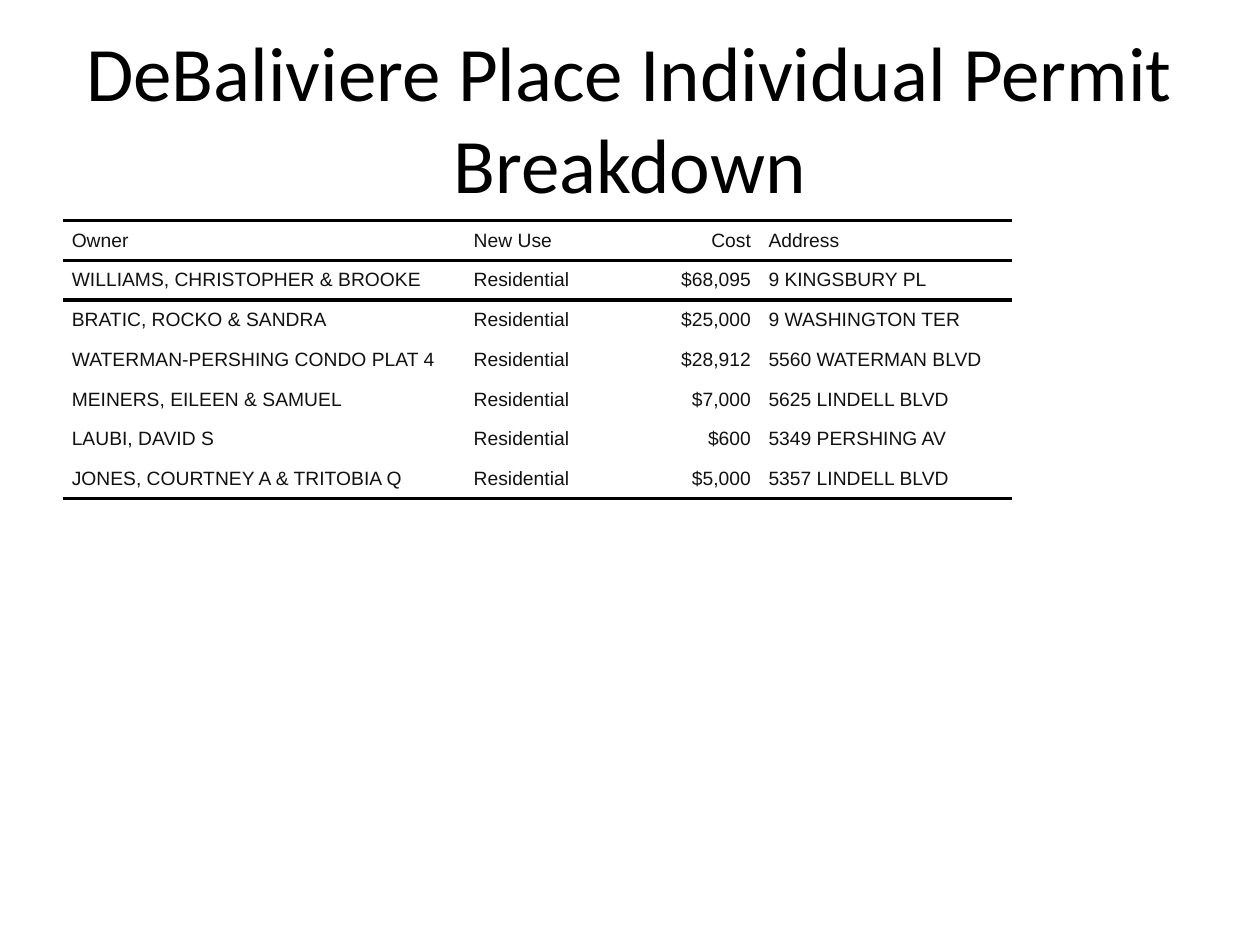
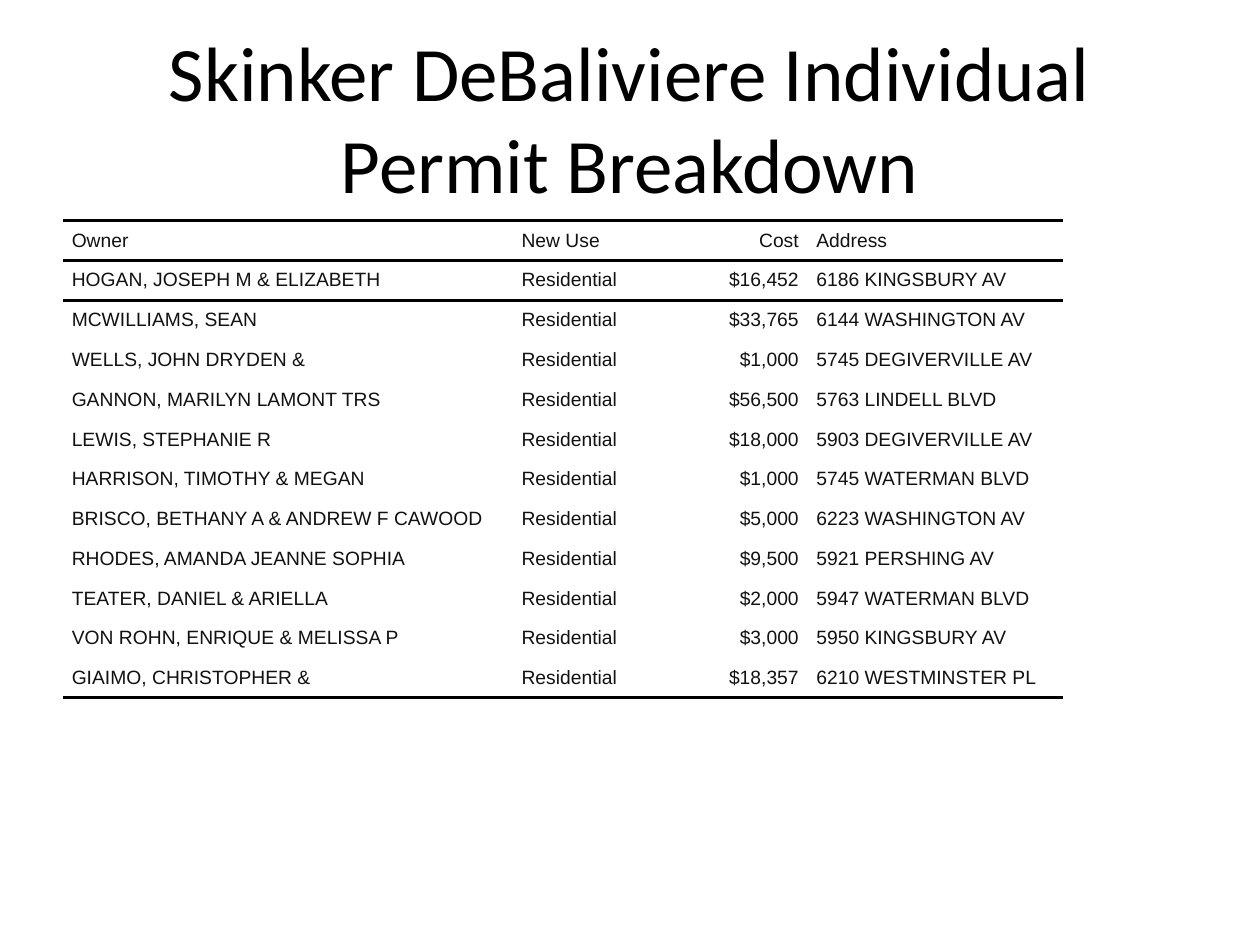
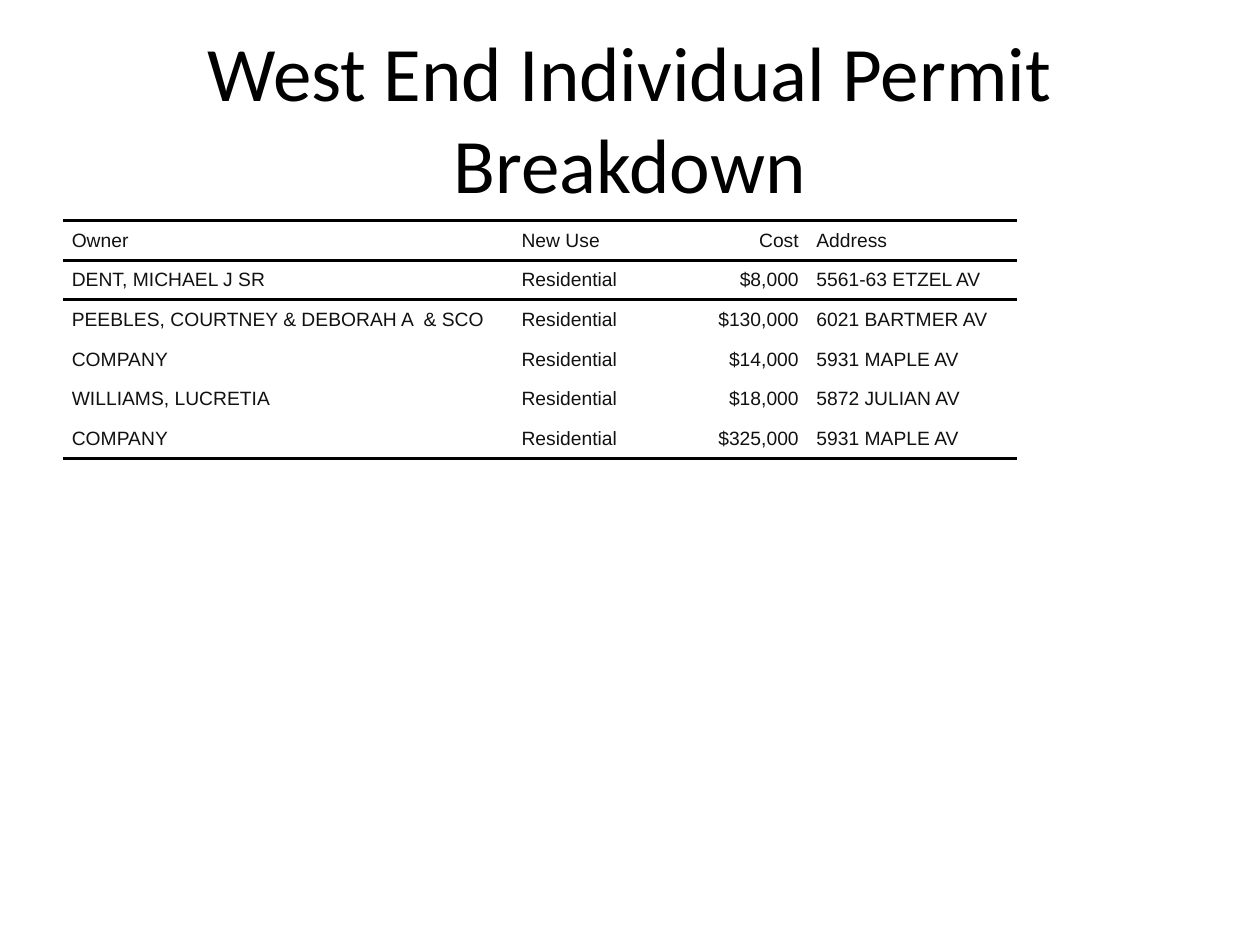
import pptx
import pptx.dml.color
import pptx.enum.text
import pptx.oxml
import pptx.oxml.ns
import pptx.util
from dataclasses import dataclass

Inches = pptx.util.Inches
Pt = pptx.util.Pt
Align = pptx.enum.text.PP_ALIGN
Anchor = pptx.enum.text.MSO_ANCHOR


@dataclass(frozen=True)
class Theme:
    ink: str = "000000"
    body: str = "111111"
    head_font: str = "Calibri"
    body_font: str = "Arial"
    head_size: int = 44
    body_size: int = 11
    rule: int = 2
    plain: str = "{2D5ABB26-0587-4C30-8999-92F81FD0307C}"  # no style, no grid


HEADS = ("Owner", "New Use", "Cost", "Address")
USE = "Residential"

# Title, column widths, table height, and owner / cost / address rows
PAGES = [
    ("DeBaliviere Place Individual Permit Breakdown", (3.19, 1.04, 1.3, 2), 2.21, [
        ("WILLIAMS, CHRISTOPHER & BROOKE", "$68,095", "9 KINGSBURY PL"),
        ("BRATIC, ROCKO & SANDRA", "$25,000", "9 WASHINGTON TER"),
        ("WATERMAN-PERSHING CONDO PLAT 4", "$28,912", "5560 WATERMAN BLVD"),
        ("MEINERS, EILEEN & SAMUEL", "$7,000", "5625 LINDELL BLVD"),
        ("LAUBI, DAVID S", "$600", "5349 PERSHING AV"),
        ("JONES, COURTNEY A & TRITOBIA Q", "$5,000", "5357 LINDELL BLVD"),
    ]),
    ("Skinker DeBaliviere Individual Permit Breakdown", (3.57, 1.04, 1.3, 2.03), 3.79, [
        ("HOGAN, JOSEPH M & ELIZABETH", "$16,452", "6186 KINGSBURY AV"),
        ("MCWILLIAMS, SEAN", "$33,765", "6144 WASHINGTON AV"),
        ("WELLS, JOHN DRYDEN &", "$1,000", "5745 DEGIVERVILLE AV"),
        ("GANNON, MARILYN LAMONT TRS", "$56,500", "5763 LINDELL BLVD"),
        ("LEWIS, STEPHANIE R", "$18,000", "5903 DEGIVERVILLE AV"),
        ("HARRISON, TIMOTHY & MEGAN", "$1,000", "5745 WATERMAN BLVD"),
        ("BRISCO, BETHANY A & ANDREW F CAWOOD", "$5,000", "6223 WASHINGTON AV"),
        ("RHODES, AMANDA JEANNE SOPHIA", "$9,500", "5921 PERSHING AV"),
        ("TEATER, DANIEL & ARIELLA", "$2,000", "5947 WATERMAN BLVD"),
        ("VON ROHN, ENRIQUE & MELISSA P", "$3,000", "5950 KINGSBURY AV"),
        ("GIAIMO, CHRISTOPHER &", "$18,357", "6210 WESTMINSTER PL"),
    ]),
    ("West End Individual Permit Breakdown", (3.57, 1.04, 1.3, 1.66), 1.89, [
        ("DENT, MICHAEL J SR", "$8,000", "5561-63 ETZEL AV"),
        ("PEEBLES, COURTNEY & DEBORAH A  & SCO", "$130,000", "6021 BARTMER AV"),
        ("COMPANY", "$14,000", "5931 MAPLE AV"),
        ("WILLIAMS, LUCRETIA", "$18,000", "5872 JULIAN AV"),
        ("COMPANY", "$325,000", "5931 MAPLE AV"),
    ]),
]


class Deck:
    def __init__(self, theme):
        self.theme = theme
        self.prs = pptx.Presentation()
        self.prs.slide_width = Inches(10)
        self.prs.slide_height = Inches(7.5)
        self.slide = None

    def text(self, para, words, font, size, ink, align):
        para.alignment = align
        run = para.add_run()
        run.text = words
        run.font.name = font
        run.font.size = Pt(size)
        run.font.bold = False
        run.font.color.rgb = pptx.dml.color.RGBColor.from_string(ink)

    def page(self, title):
        look = self.theme
        self.slide = self.prs.slides.add_slide(self.prs.slide_layouts[5])
        box = self.slide.shapes.title
        box.left, box.top = Inches(0.5), Inches(0.3)
        box.width, box.height = Inches(9), Inches(1.25)
        frame = box.text_frame
        frame.word_wrap = True
        frame.auto_size = pptx.enum.text.MSO_AUTO_SIZE.NONE
        frame.vertical_anchor = Anchor.MIDDLE
        self.text(frame.paragraphs[0], title, look.head_font, look.head_size,
                  look.ink, Align.CENTER)

    def edge(self, cell, side):
        space = pptx.oxml.ns.nsdecls("a")
        line = pptx.oxml.parse_xml(
            f'<a:{side} {space} w="{Pt(self.theme.rule)}"><a:solidFill>'
            f'<a:srgbClr val="{self.theme.ink}"/></a:solidFill></a:{side}>')
        cell._tc.get_or_add_tcPr().append(line)

    def cell(self, cell, words, align):
        look = self.theme
        cell.vertical_anchor = Anchor.MIDDLE
        cell.margin_left = cell.margin_right = Inches(0.07)
        cell.margin_top = cell.margin_bottom = Inches(0.03)
        self.text(cell.text_frame.paragraphs[0], words, look.body_font,
                  look.body_size, look.body, align)

    def table(self, rows, widths, height):
        frame = self.slide.shapes.add_table(
            len(rows), len(widths), Inches(0.5), Inches(1.75),
            Inches(sum(widths)), Inches(height))
        grid = frame.table
        grid.horz_banding = False
        style = grid._tbl.tblPr.find(pptx.oxml.ns.qn("a:tableStyleId"))
        style.text = self.theme.plain
        for col, width in zip(grid.columns, widths):
            col.width = Inches(width)
        last = len(rows) - 1
        for r, row in enumerate(rows):
            for c, words in enumerate(row):
                cell = grid.cell(r, c)
                align = Align.RIGHT if HEADS[c] == "Cost" else Align.LEFT
                self.cell(cell, words, align)
                # Rules above and below the header, and under the last row
                if r in (0, 1):
                    self.edge(cell, "lnT")
                if r in (0, last):
                    self.edge(cell, "lnB")
                cell.fill.background()


def main():
    deck = Deck(Theme())
    for title, widths, height, permits in PAGES:
        deck.page(title)
        rows = [(owner, USE, cost, place) for owner, cost, place in permits]
        deck.table([HEADS] + rows, widths, height)
    deck.prs.save("out.pptx")


if __name__ == "__main__":
    main()
